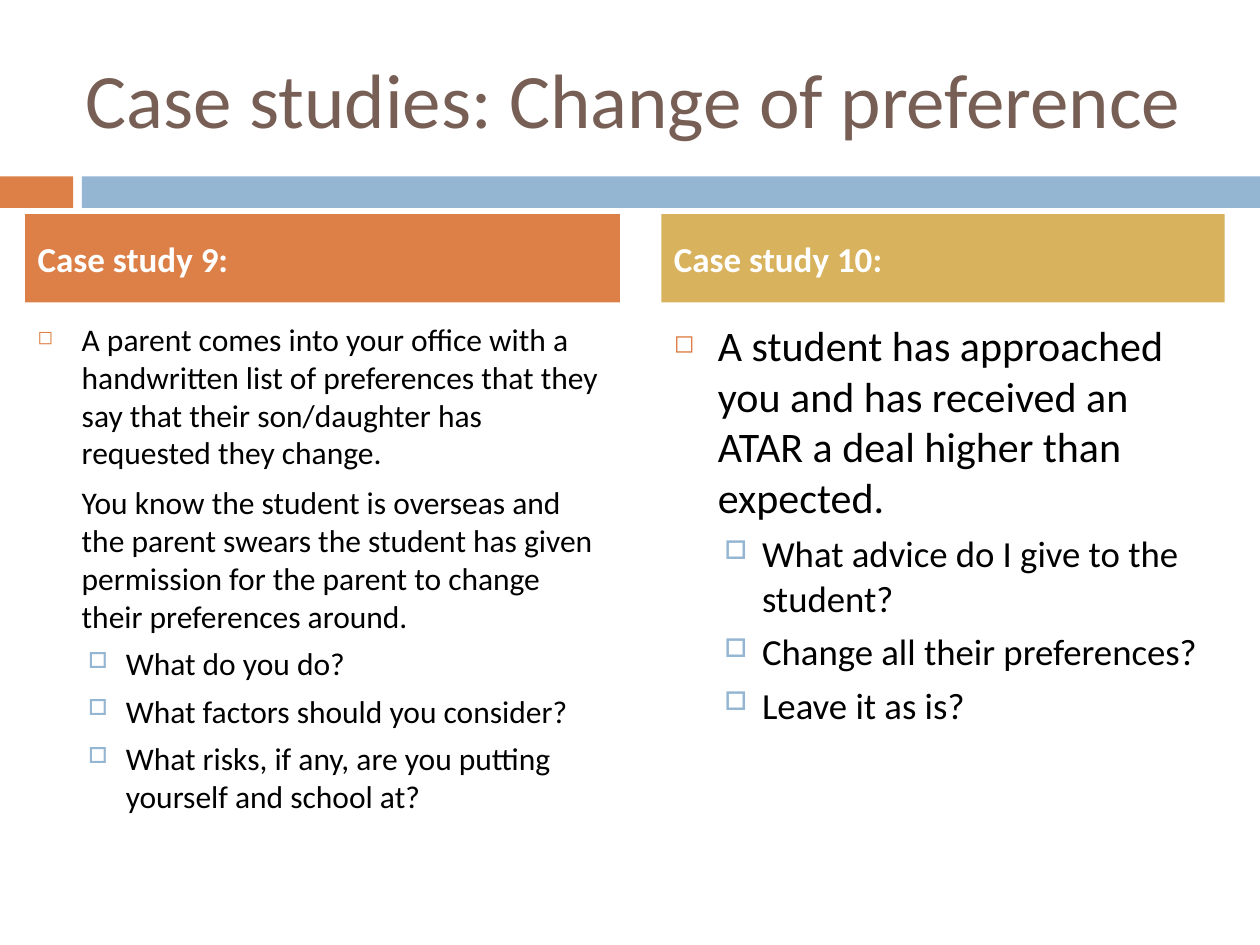
"""Builds the slide that sets out two case studies on change of preference."""
import dataclasses
import typing

import lxml.etree
import pptx
import pptx.dml.color
import pptx.enum.shapes
import pptx.enum.text
import pptx.oxml.ns
import pptx.util

Inches = pptx.util.Inches
Pt = pptx.util.Pt
Anchor = pptx.enum.text.MSO_ANCHOR
ORANGE, BLUE, GOLD = "DD8047", "94B6D2", "D8B25C"
BROWN, BLACK, WHITE = "775F55", "000000", "FFFFFF"


@dataclasses.dataclass
class Level:
    indent: float
    hanging: float
    before: float
    bullet: str = ""
    color: str = ""
    percent: int = 100


@dataclasses.dataclass
class Case:
    heading: str
    left: float
    width: float
    fill: str
    lines: list[tuple[Level, float, str]]


MAIN = Level(0.35, 0.35, 7, "◻", ORANGE, 60)
PLAIN = Level(0.35, 0, 7)
SUB = Level(0.7, 0.3, 5.5, "□", BLUE, 70)

CASES = [
    Case("Case study 9:", 0.2, 4.72, ORANGE, [
        (MAIN, 18, "A parent comes into your office with a handwritten list of preferences "
                   "that they say that their son/daughter has requested they change."),
        (PLAIN, 18, "You know the student is overseas and the parent swears the student has "
                    "given permission for the parent to change their preferences around."),
        (SUB, 18, "What do you do?"),
        (SUB, 18, "What factors should you consider?"),
        (SUB, 18, "What risks, if any, are you putting yourself and school at?"),
    ]),
    Case("Case study 10:", 5.25, 4.47, GOLD, [
        (MAIN, 24, "A student has approached you and has received an ATAR a deal higher "
                   "than expected."),
        (SUB, 21, "What advice do I give to the student?"),
        (SUB, 21, "Change all their preferences?"),
        (SUB, 21, "Leave it as is?"),
    ]),
]


def rgb(color: str) -> pptx.dml.color.RGBColor:
    """Turn a hex string into a colour."""
    return pptx.dml.color.RGBColor.from_string(color)


def set_all(target: typing.Any, **values: typing.Any) -> None:
    """Set each named attribute on the target."""
    for name, value in values.items():
        setattr(target, name, value)


def add_run(p: typing.Any, text: str, size: float, color: str, bold: bool = False) -> None:
    """Add a formatted run to a paragraph."""
    r = p.add_run()
    r.text = text
    set_all(r.font, name="Calibri", size=Pt(size), bold=bold)
    r.font.color.rgb = rgb(color)


def add_bar(s: typing.Any, left: float, top: float, width: float, height: float,
            fill: str) -> typing.Any:
    """Draw a plain filled rectangle."""
    sp = s.shapes.add_shape(pptx.enum.shapes.MSO_SHAPE.RECTANGLE, Inches(left), Inches(top),
                            Inches(width), Inches(height))
    sp.shadow.inherit = False
    sp.fill.solid()
    sp.fill.fore_color.rgb = rgb(fill)
    sp.line.fill.background()
    return sp


def format_level(p: typing.Any, level: Level) -> None:
    """Give a paragraph the indent and bullet of its level."""
    pPr = p._p.get_or_add_pPr()
    pPr.set("marL", str(Inches(level.indent)))
    pPr.set("indent", str(-Inches(level.hanging)))
    qn = pptx.oxml.ns.qn
    if level.bullet:
        clr = lxml.etree.SubElement(pPr, qn("a:buClr"))
        lxml.etree.SubElement(clr, qn("a:srgbClr"), val=level.color)
        lxml.etree.SubElement(pPr, qn("a:buSzPct"), val=str(level.percent * 1000))
        lxml.etree.SubElement(pPr, qn("a:buChar"), char=level.bullet)
    else:
        lxml.etree.SubElement(pPr, qn("a:buNone"))
    p.level = int(level is SUB)


def add_title(s: typing.Any, text: str) -> None:
    """Place and format the title placeholder."""
    sp = s.shapes.title
    set_all(sp, left=Inches(0.58), top=Inches(0.3), width=Inches(8.92), height=Inches(0.95))
    tf = sp.text_frame
    set_all(tf, vertical_anchor=Anchor.MIDDLE, word_wrap=True,
            auto_size=pptx.enum.text.MSO_AUTO_SIZE.NONE)
    p = tf.paragraphs[0]
    p.alignment = pptx.enum.text.PP_ALIGN.LEFT
    add_run(p, text, 44, BROWN)


def add_case(s: typing.Any, case: Case) -> None:
    """Draw one case study with its heading bar and its text."""
    sp = s.shapes.add_textbox(Inches(case.left), Inches(2.49), Inches(case.width), Inches(4.72))
    tf = sp.text_frame
    tf.word_wrap = True
    for i, (level, size, text) in enumerate(case.lines):
        p = tf.add_paragraph() if i else tf.paragraphs[0]
        format_level(p, level)
        if i:
            p.space_before = Pt(level.before)
        add_run(p, text, size, BLACK)

    tf = add_bar(s, case.left, 1.7, case.width, 0.7, case.fill).text_frame
    set_all(tf, vertical_anchor=Anchor.MIDDLE, word_wrap=True)
    p = tf.paragraphs[0]
    p.alignment = pptx.enum.text.PP_ALIGN.LEFT
    add_run(p, case.heading, 20, WHITE, True)


def main() -> None:
    """Build and save the slide."""
    prs = pptx.Presentation()
    set_all(prs, slide_width=Inches(10), slide_height=Inches(7.5))
    s = prs.slides.add_slide(prs.slide_layouts[5])
    add_bar(s, 0, 1.4, 0.58, 0.25, ORANGE)
    add_bar(s, 0.65, 1.4, 9.35, 0.25, BLUE)
    add_title(s, "Case studies: Change of preference")
    for case in CASES:
        add_case(s, case)
    prs.save("out.pptx")


if __name__ == "__main__":
    main()
